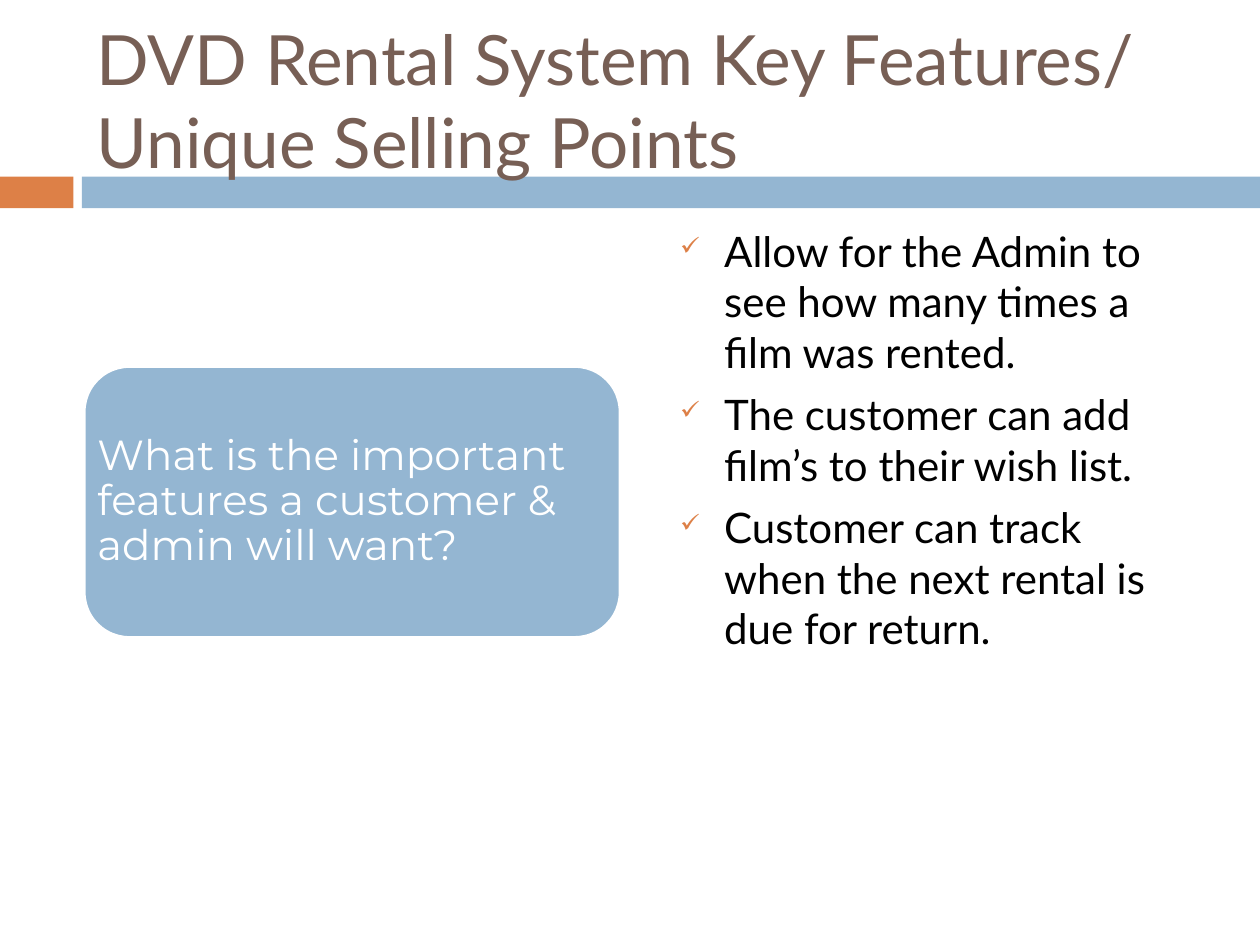
from pptx import Presentation
from pptx.util import Cm, Pt
from pptx.dml.color import RGBColor
from pptx.enum.shapes import MSO_SHAPE
from pptx.enum.text import MSO_ANCHOR, PP_ALIGN
from lxml import etree

RECT = MSO_SHAPE.RECTANGLE
ROUND = MSO_SHAPE.ROUNDED_RECTANGLE
TOP = MSO_ANCHOR.TOP
MIDDLE = MSO_ANCHOR.MIDDLE
LEFT = PP_ALIGN.LEFT
ORANGE = RGBColor(0xDD, 0x80, 0x47)
BLUE = RGBColor(0x94, 0xB6, 0xD2)
BROWN = RGBColor(0x77, 0x5F, 0x55)
WHITE = RGBColor(0xFF, 0xFF, 0xFF)
BLACK = RGBColor(0, 0, 0)
NS = "http://schemas.openxmlformats.org/drawingml/2006/main"

deck = Presentation()
deck.slide_width = Cm(25.4)
deck.slide_height = Cm(19.05)
slide = deck.slides.add_slide(deck.slide_layouts[6])


def add_block(kind, box, fill):
    block = slide.shapes.add_shape(kind, *[Cm(n) for n in box])
    block.shadow.inherit = False
    block.fill.solid()
    block.fill.fore_color.rgb = fill
    block.line.fill.background()
    return block


def add_text(frame, anchor, lines, font, size, color):
    frame.word_wrap = True
    frame.vertical_anchor = anchor
    for i, line in enumerate(lines):
        para = frame.paragraphs[0] if i == 0 else frame.add_paragraph()
        para.alignment = LEFT
        run = para.add_run()
        run.text = line
        run.font.name = font
        run.font.size = Pt(size)
        run.font.color.rgb = color


add_block(RECT, (0, 3.56, 1.48, 0.64), ORANGE)
add_block(RECT, (1.65, 3.56, 23.75, 0.64), BLUE)

title = slide.shapes.add_textbox(Cm(1.7), Cm(0.64), Cm(22.66), Cm(2.74))
add_text(title.text_frame, MIDDLE,
         ["DVD Rental System Key Features/ Unique Selling Points"],
         "Lato", 39.6, BROWN)

card = add_block(ROUND, (1.7, 7.39, 10.8, 5.46), BLUE)
card.line.color.rgb = WHITE
card.line.width = Pt(1.5)
frame = card.text_frame
add_text(frame, MIDDLE,
         ["What is the important features a customer & admin will want?"],
         "Montserrat", 24, WHITE)
frame.paragraphs[0].line_spacing = 0.9
card.adjustments[0] = 0.1667
frame.margin_left = frame.margin_right = Cm(0)
frame.margin_top = frame.margin_bottom = Cm(0.25)

points = slide.shapes.add_textbox(Cm(13.46), Cm(4.42), Cm(10.8), Cm(12.7))
add_text(points.text_frame, TOP,
         ["Allow for the Admin to see how many times a film was rented.",
          "The customer can add film\u2019s to their wish list.",
          "Customer can track when the next rental is due for return."],
         "Lato", 24, BLACK)
for para in points.text_frame.paragraphs:
    para.space_before = Pt(7)
    props = para._p.get_or_add_pPr()
    props.set("marL", str(Cm(0.89)))
    props.set("indent", str(-Cm(0.89)))
    tint = etree.SubElement(props, f"{{{NS}}}buClr")
    etree.SubElement(tint, f"{{{NS}}}srgbClr", val=str(ORANGE))
    etree.SubElement(props, f"{{{NS}}}buSzPct", val="60000")
    etree.SubElement(props, f"{{{NS}}}buChar", char="\u2713")

deck.save("out.pptx")
